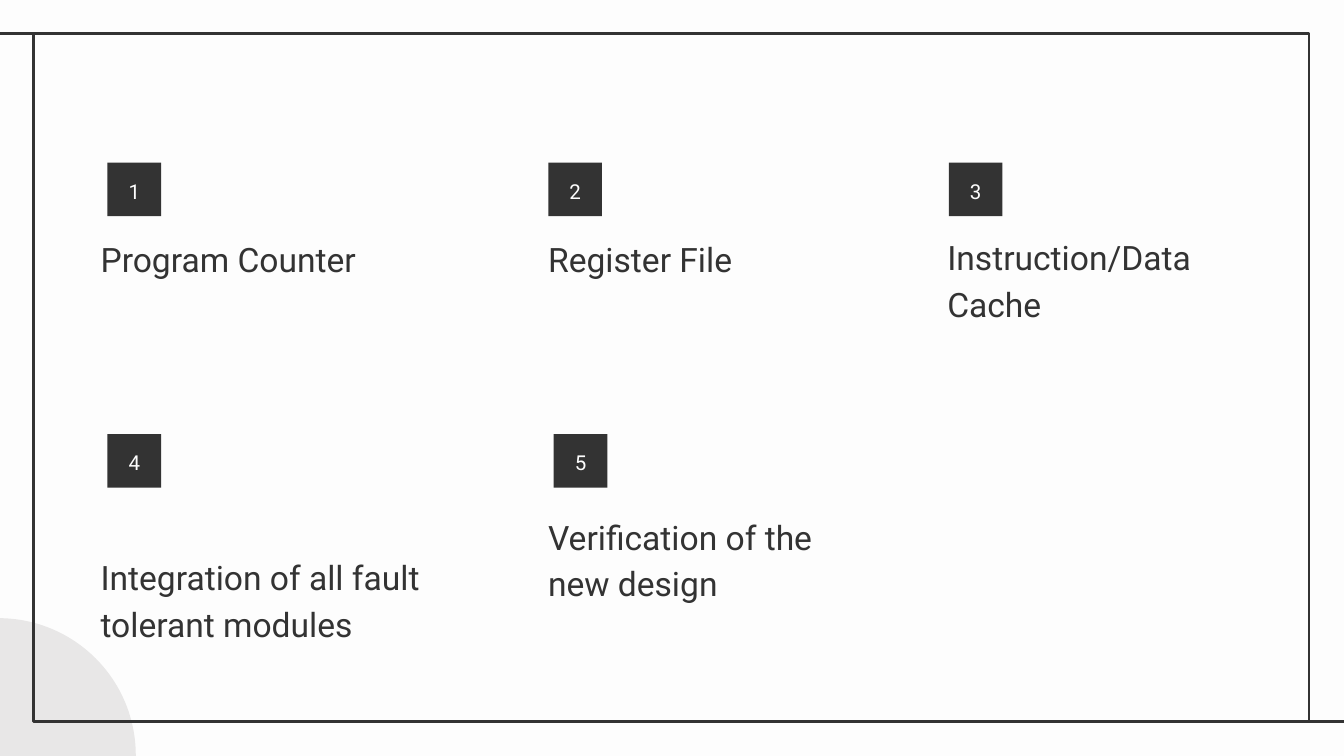
from dataclasses import dataclass

from lxml.etree import SubElement
from pptx import Presentation
from pptx.dml.color import RGBColor
from pptx.enum.shapes import MSO_CONNECTOR, MSO_SHAPE
from pptx.enum.text import MSO_ANCHOR, PP_ALIGN
from pptx.oxml.ns import qn
from pptx.util import Inches, Pt

WIDTH = 10
HEIGHT = WIDTH * 9 / 16
COLORS = {"paper": "FDFDFD", "ink": "333333", "circle": "E8E7E7"}
FONT = "Roboto"
BADGE = 0.4
BADGE_COLUMNS = (0.8, 4.08, 7.06)
CAPTION_COLUMNS = (0.65, 3.98, 6.95)
ROWS = (1.21, 3.23)


@dataclass(frozen=True)
class Step:
    """A numbered step; gap separates badge and caption, shift moves the badge right."""
    text: str
    column: int
    row: int
    width: float
    height: float
    gap: float = 0
    shift: float = 0


STEPS = (
    Step("Program Counter", 0, 0, 2.52, 0.57),
    Step("Register File", 1, 0, 2.52, 0.57),
    Step("Instruction/Data Cache", 2, 0, 2.52, 0.83, gap=0.07),
    Step("Integration of all fault tolerant modules", 0, 1, 2.64, 1.2, gap=0.06),
    Step("Verification of the new design", 1, 1, 2.64, 0.9, gap=0.06, shift=0.04),
)


def rgb(name: str) -> RGBColor:
    return RGBColor.from_string(COLORS[name])


def add_block(s, kind, left: float, top: float, width: float, height: float,
              fill: str | None = None, line: str | None = None):
    sp = s.shapes.add_shape(kind, Inches(left), Inches(top), Inches(width), Inches(height))
    sp.shadow.inherit = False
    if fill:
        sp.fill.solid()
        sp.fill.fore_color.rgb = rgb(fill)
    else:
        sp.fill.background()
    if line:
        sp.line.color.rgb = rgb(line)
        sp.line.width = Pt(1.5)
    else:
        sp.line.fill.background()
    return sp


def add_rule(s, x1: float, x2: float, y: float) -> None:
    c = s.shapes.add_connector(MSO_CONNECTOR.STRAIGHT, Inches(x1), Inches(y), Inches(x2), Inches(y))
    c.line.color.rgb = rgb("ink")
    c.line.width = Pt(1.5)
    SubElement(c._element.spPr, qn("a:effectLst"))


def write(sp, text: str, *, size: float, color: str, align=PP_ALIGN.LEFT,
          anchor=MSO_ANCHOR.BOTTOM) -> None:
    tf = sp.text_frame
    tf.word_wrap = True
    tf.vertical_anchor = anchor
    tf.margin_left = tf.margin_right = tf.margin_top = tf.margin_bottom = Inches(0.1)
    p = tf.paragraphs[0]
    p.alignment = align
    p.line_spacing = 1.15
    r = p.add_run()
    r.text = text
    r.font.name = FONT
    r.font.size = Pt(size)
    r.font.color.rgb = rgb(color)


def add_backdrop(s) -> None:
    s.background.fill.solid()
    s.background.fill.fore_color.rgb = rgb("paper")
    add_block(s, MSO_SHAPE.OVAL, -1.03, 4.6, 2.04, 2.04, fill="circle")
    left, top, width, height = 0.25, 0.25, 9.49, 5.12
    add_block(s, MSO_SHAPE.RECTANGLE, left, top, width, height, line="ink")
    add_rule(s, 0, left, top)
    add_rule(s, left + width, WIDTH, top + height)


def add_step(s, number: int, step: Step) -> None:
    top = ROWS[step.row]
    badge = add_block(s, MSO_SHAPE.RECTANGLE, BADGE_COLUMNS[step.column] + step.shift, top,
                      BADGE, BADGE, fill="ink")
    write(badge, str(number), size=11, color="paper", align=PP_ALIGN.CENTER,
          anchor=MSO_ANCHOR.MIDDLE)
    caption = s.shapes.add_textbox(Inches(CAPTION_COLUMNS[step.column]),
                                   Inches(top + BADGE + step.gap),
                                   Inches(step.width), Inches(step.height))
    write(caption, step.text, size=18, color="ink")


def main() -> None:
    prs = Presentation()
    prs.slide_width, prs.slide_height = Inches(WIDTH), Inches(HEIGHT)
    s = prs.slides.add_slide(prs.slide_layouts[6])
    add_backdrop(s)
    for number, step in enumerate(STEPS, start=1):
        add_step(s, number, step)
    prs.save("out.pptx")


if __name__ == "__main__":
    main()
